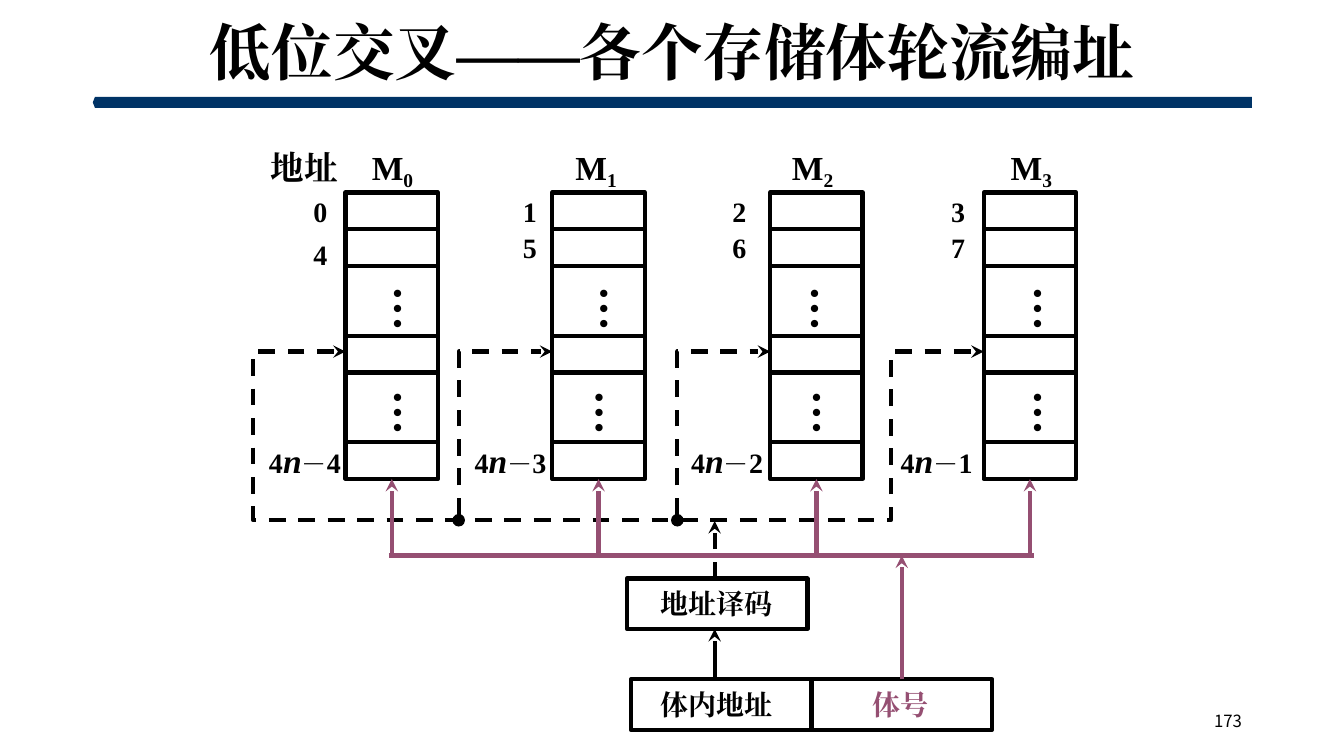
from lxml import etree
from pptx import Presentation
from pptx.dml.color import RGBColor
from pptx.enum import dml, shapes, text
from pptx.oxml import ns
from pptx.util import Cm, Pt

BLACK = RGBColor(0x00, 0x00, 0x00)
NAVY = RGBColor(0x00, 0x33, 0x66)
PLUM = RGBColor(0x95, 0x4F, 0x72)
SERIF = "Times New Roman"
SANS = "Noto Sans CJK SC"

deck = Presentation()
deck.slide_width, deck.slide_height = Cm(33.87), Cm(19.05)
page = deck.slides.add_slide(deck.slide_layouts[6])


def write(box, spans, wrap=False, color=BLACK, font=SERIF, bold=True):
    """Fill a box with (text, size, style) spans and return its paragraph."""
    box.text_frame.word_wrap = wrap
    para = box.text_frame.paragraphs[0]
    for words, size, style in spans:
        span = para.add_run()
        span.text = words
        span.font.name, span.font.size = font, Pt(size)
        span.font.bold = bold
        span.font.color.rgb = color
        properties = span.font._element
        etree.SubElement(properties, ns.qn("a:ea"), typeface=font)
        if style == "italic":
            span.font.italic = True
        if style == "sub":
            properties.set("baseline", "-20000")
    return para


def stroke(item, color=BLACK, dashed=False, head=None, tail=None):
    """Give an outline its colour, dash and arrowheads, without shadow."""
    item.line.color.rgb = color
    item.line.width = Pt(3)
    if dashed:
        item.line.dash_style = dml.MSO_LINE.DASH
    for tag, kind in (("a:headEnd", head), ("a:tailEnd", tail)):
        if kind:
            etree.SubElement(item.line._get_or_add_ln(), ns.qn(tag), type=kind)
    properties = item._element.spPr
    if properties.find(ns.qn("a:effectLst")) is None:
        etree.SubElement(properties, ns.qn("a:effectLst"))


# Title, rule and page number
rule = page.shapes.add_shape(shapes.MSO_SHAPE.PENTAGON, Cm(2.34), Cm(2.44), Cm(29.21), Cm(0.28))
rule.adjustments[0] = 0.2
rule._element.spPr.find(ns.qn("a:xfrm")).set("flipH", "1")
rule.shadow.inherit = False
rule.fill.solid()
rule.fill.fore_color.rgb = NAVY
rule.line.fill.background()

title = page.shapes.add_textbox(Cm(2.34), Cm(0.36), Cm(29.21), Cm(2.08))
title.text_frame.vertical_anchor = text.MSO_ANCHOR.MIDDLE
para = write(title, [("低位交叉——各个存储体轮流编址", 44, None)], wrap=True)
para.alignment = text.PP_ALIGN.CENTER
para.line_spacing = 0.9

number = page.shapes.add_textbox(Cm(23.93), Cm(17.65), Cm(7.62), Cm(1.02))
number.text_frame.vertical_anchor = text.MSO_ANCHOR.MIDDLE
para = write(number, [("173", 12, None)], wrap=True, font=SANS, bold=False)
para.alignment = text.PP_ALIGN.RIGHT

# Memory banks: lefts of cells, name, addresses, last address, upper and lower dots
BANKS = [
    (8.71, 9.12, 7.65, 6.53, 9.35, 9.35),
    (13.92, 14.25, 12.93, 11.71, 14.55, 14.43),
    (19.41, 19.71, 18.21, 17.17, 19.86, 19.91),
    (24.79, 25.22, 23.72, 22.45, 25.48, 25.48),
]
CELL_HEIGHTS = [0.93, 0.93, 1.75, 0.93, 1.75, 0.93]

heading = page.shapes.add_textbox(Cm(6.58), Cm(3.58), Cm(2.21), Cm(1.27))
write(heading, [("地址", 24, None)])

last_cells = []
for bank, (left, name_x, address_x, last_x, *dots_x) in enumerate(BANKS):
    top = 4.85
    for height in CELL_HEIGHTS:
        cell = page.shapes.add_shape(
            shapes.MSO_SHAPE.RECTANGLE, Cm(left), Cm(top), Cm(2.33), Cm(height))
        cell.fill.background()
        stroke(cell)
        top += height
    last_cells.append(cell)

    name = page.shapes.add_textbox(Cm(name_x), Cm(3.58), Cm(1.6), Cm(1.27))
    write(name, [("M", 24, None), (str(bank), 24, "sub")])

    second_y = 5.87 if bank == 0 else 5.69
    for address, y in ((bank, 4.78), (bank + 4, second_y)):
        label = page.shapes.add_textbox(Cm(address_x), Cm(y), Cm(0.86), Cm(1.09))
        write(label, [(str(address), 20, None)])

    last = page.shapes.add_textbox(Cm(last_x), Cm(10.97), Cm(2.34), Cm(1.27))
    write(last, [("4", 20, None), ("n", 24, "italic"), ("－", 18, None),
                 (str(4 - bank), 20, None)], wrap=True)

    for x, y in zip(dots_x, (6.96, 9.6)):
        dots = page.shapes.add_textbox(Cm(x), Cm(y), Cm(1.85), Cm(1.4))
        write(dots, [("…", 32, None)])
        dots.text_frame._txBody.bodyPr.set("vert", "eaVert")

# Dashed address lines into the selected cells
ROW_Y, TRUNK_Y = 8.86, 13.11
ROUTES = [
    ("stealth", [(8.71, ROW_Y), (6.38, ROW_Y), (6.38, TRUNK_Y),
                 (22.45, TRUNK_Y), (22.45, ROW_Y), (24.79, ROW_Y)]),
    ("oval", [(11.56, TRUNK_Y), (11.56, ROW_Y), (13.92, ROW_Y)]),
    ("oval", [(17.07, TRUNK_Y), (17.07, ROW_Y), (19.41, ROW_Y)]),
]
for head, corners in ROUTES:
    points = [(Cm(x), Cm(y)) for x, y in corners]
    builder = page.shapes.build_freeform(*points[0])
    builder.add_line_segments(points[1:], close=False)
    route = builder.convert_to_shape()
    route.fill.background()
    stroke(route, dashed=True, head=head, tail="stealth")

# Decoder and the two address fields
fields = {}
for words, x, y, inset, color in (
    ("地址译码", 15.8, 14.58, 0.84, BLACK),
    ("体号", 20.45, 17.12, 1.55, PLUM),
    ("体内地址", 15.9, 17.12, 0.74, BLACK),
):
    field = page.shapes.add_shape(
        shapes.MSO_SHAPE.RECTANGLE, Cm(x), Cm(y), Cm(4.55), Cm(1.27))
    field.fill.background()
    stroke(field)
    field.text_frame.margin_left = Cm(inset)
    field.text_frame.margin_right = 0
    field.text_frame.vertical_anchor = text.MSO_ANCHOR.MIDDLE
    para = write(field, [(words, 20, None)], wrap=True, color=color)
    para.alignment = text.PP_ALIGN.LEFT
    fields[words] = field

# Address arrows through the decoder
for start, end, dashed in ((17.12, 15.85, False), (14.58, 13.13, True)):
    arrow = page.shapes.add_connector(
        shapes.MSO_CONNECTOR.STRAIGHT, Cm(18.01), Cm(start), Cm(18.01), Cm(end))
    stroke(arrow, dashed=dashed, tail="stealth")

# Bank number bus and its arrows
BUS_Y = 14
for cell in last_cells:
    x = cell.left + cell.width // 2
    arrow = page.shapes.add_connector(
        shapes.MSO_CONNECTOR.STRAIGHT, x, Cm(BUS_Y), x, cell.top + cell.height)
    arrow.end_connect(cell, 2)
    stroke(arrow, PLUM, tail="stealth")

source = fields["体号"]
x = source.left + source.width // 2
arrow = page.shapes.add_connector(shapes.MSO_CONNECTOR.STRAIGHT, x, source.top, x, Cm(BUS_Y))
arrow.begin_connect(source, 0)
stroke(arrow, PLUM, tail="stealth")

bus = page.shapes.add_connector(
    shapes.MSO_CONNECTOR.STRAIGHT, Cm(9.8), Cm(BUS_Y), Cm(26.06), Cm(BUS_Y))
stroke(bus, PLUM)

deck.save("out.pptx")
